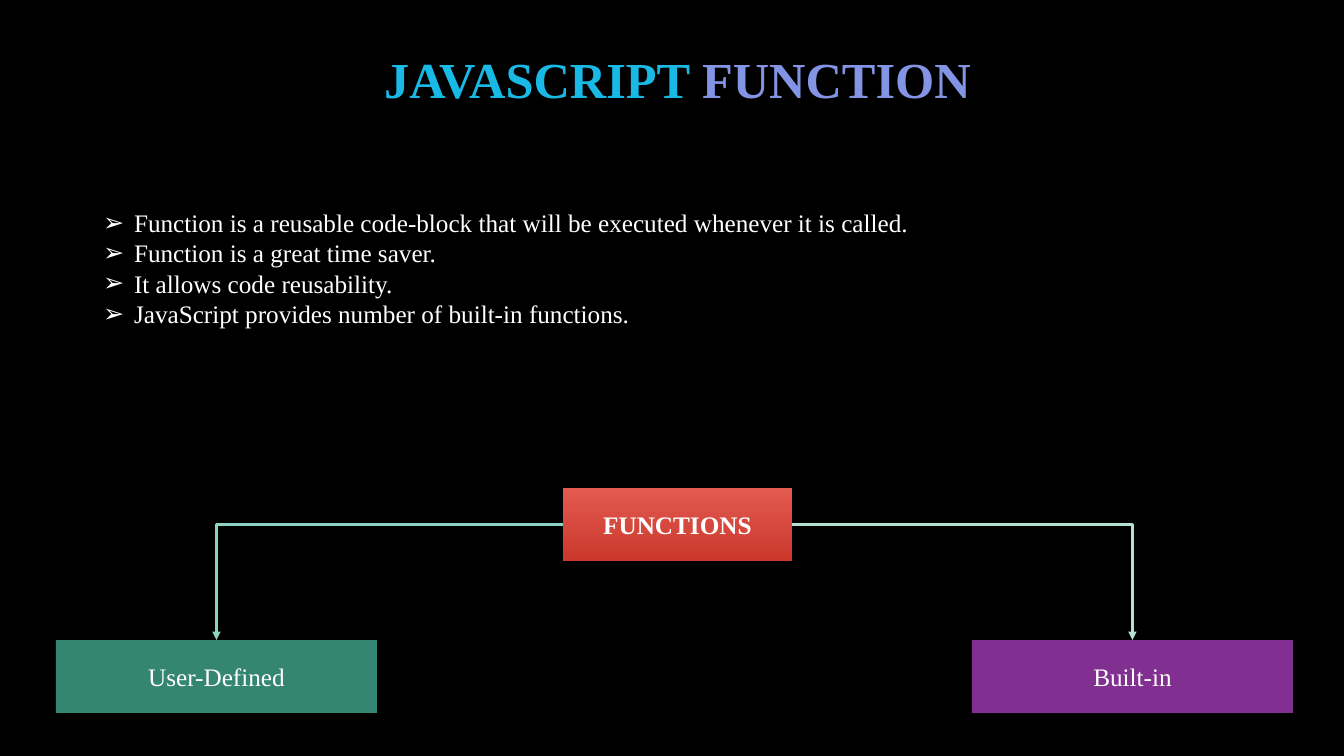
from lxml import etree
from pptx import Presentation
from pptx import util as u
from pptx.dml.color import RGBColor
from pptx.enum import shapes, text
from pptx.oxml.ns import qn

PX = 914400 / 100.8  # EMU in one px
FONT = "Times New Roman"
COLOURS = {
    "back": "000000", "text": "FFFFFF",
    "title_first": "19B9E5", "title_second": "8394E4",
    "root_top": "E35A51", "root_bottom": "CB382C",
    "user": "348672", "built_in": "812F91",
    "user_arrow": "8ED3C2", "built_in_arrow": "B4E1D6",
}
POINTS = [
    "Function is a reusable code-block that will be executed whenever it is called.",
    "Function is a great time saver.",
    "It allows code reusability.",
    "JavaScript provides number of built-in functions.",
]


def px(length):
    return u.Emu(round(length * PX))


def colour(name):
    return RGBColor.from_string(COLOURS[name])


def place(shape, box):
    shape.left, shape.top, shape.width, shape.height = map(px, box)


def set_font(font, size, name="text", bold=False):
    font.name, font.size, font.bold = FONT, u.Pt(size), bold
    font.color.rgb = colour(name)


def add_title(page, box):
    title = page.shapes.title
    place(title, box)
    frame = title.text_frame
    frame.vertical_anchor = text.MSO_ANCHOR.MIDDLE
    para = frame.paragraphs[0]
    para.alignment = text.PP_ALIGN.CENTER
    for words, name in (("JAVASCRIPT ", "title_first"), ("FUNCTION", "title_second")):
        span = para.add_run()
        span.text = words
        set_font(span.font, 36, name, bold=True)


def add_points(page, box):
    body = page.placeholders[1]
    place(body, box)
    frame = body.text_frame
    frame.text = "\n".join(POINTS)
    frame.auto_size = text.MSO_AUTO_SIZE.NONE
    frame.vertical_anchor = text.MSO_ANCHOR.TOP
    for para in frame.paragraphs:
        para.alignment = text.PP_ALIGN.JUSTIFY
        para.space_before = u.Pt(0)
        para.line_spacing = u.Pt(21.7)
        set_font(para.font, 18)
        # Hanging arrow bullet
        props = para._p.get_or_add_pPr()
        props.set("marL", str(px(31)))
        props.set("indent", str(-px(31)))
        bullet = etree.Element(qn("a:buChar"), char="➢")
        props.find(qn("a:defRPr")).addprevious(bullet)


def add_box(page, box, words, fill=None, bold=False):
    shape = page.shapes.add_shape(shapes.MSO_SHAPE.RECTANGLE, *map(px, box))
    shape.shadow.inherit = False
    shape.line.fill.background()
    if fill:
        shape.fill.solid()
        shape.fill.fore_color.rgb = colour(fill)
    else:
        shape.fill.gradient()
        shape.fill.gradient_angle = 270
        for stop, name in zip(shape.fill.gradient_stops, ("root_top", "root_bottom")):
            stop.color.rgb = colour(name)
    frame = shape.text_frame
    frame.vertical_anchor = text.MSO_ANCHOR.MIDDLE
    para = frame.paragraphs[0]
    para.text = words
    para.alignment = text.PP_ALIGN.CENTER
    set_font(para.font, 18, bold=bold)
    return shape


def add_arrow(page, root, side, leaf, name):
    arrow = page.shapes.add_connector(shapes.MSO_CONNECTOR.ELBOW, 0, 0, 0, 0)
    arrow.begin_connect(root, side)
    arrow.end_connect(leaf, 0)
    arrow.line.color.rgb = colour(name)
    arrow.line.width = u.Pt(2)
    # One bend, arrowhead at the leaf, no shadow
    props = arrow._element.spPr
    props.find(qn("a:prstGeom")).set("prst", "bentConnector2")
    etree.SubElement(arrow.get_or_add_ln(), qn("a:tailEnd"), type="triangle")
    etree.SubElement(props, qn("a:effectLst"))


def add_tree(page, box):
    left, top, width, height = box
    box_height, leaf_width = 73, 321
    leaf_top = top + height - box_height
    root = add_box(page, (left + 507, top, 229, box_height), "FUNCTIONS", bold=True)
    leaves = (
        (left, 1, "User-Defined", "user"),
        (left + width - leaf_width, 3, "Built-in", "built_in"),
    )
    for leaf_left, side, words, name in leaves:
        leaf = add_box(page, (leaf_left, leaf_top, leaf_width, box_height), words, name)
        add_arrow(page, root, side, leaf, name + "_arrow")


def main():
    deck = Presentation()
    deck.slide_width, deck.slide_height = px(1344), px(756)
    page = deck.slides.add_slide(deck.slide_layouts[1])
    page.background.fill.solid()
    page.background.fill.fore_color.rgb = colour("back")
    add_tree(page, (56, 488, 1237, 225))
    add_points(page, (93, 202, 1171, 132))
    add_title(page, (119, 23, 1117, 111))
    deck.save("out.pptx")


if __name__ == "__main__":
    main()
